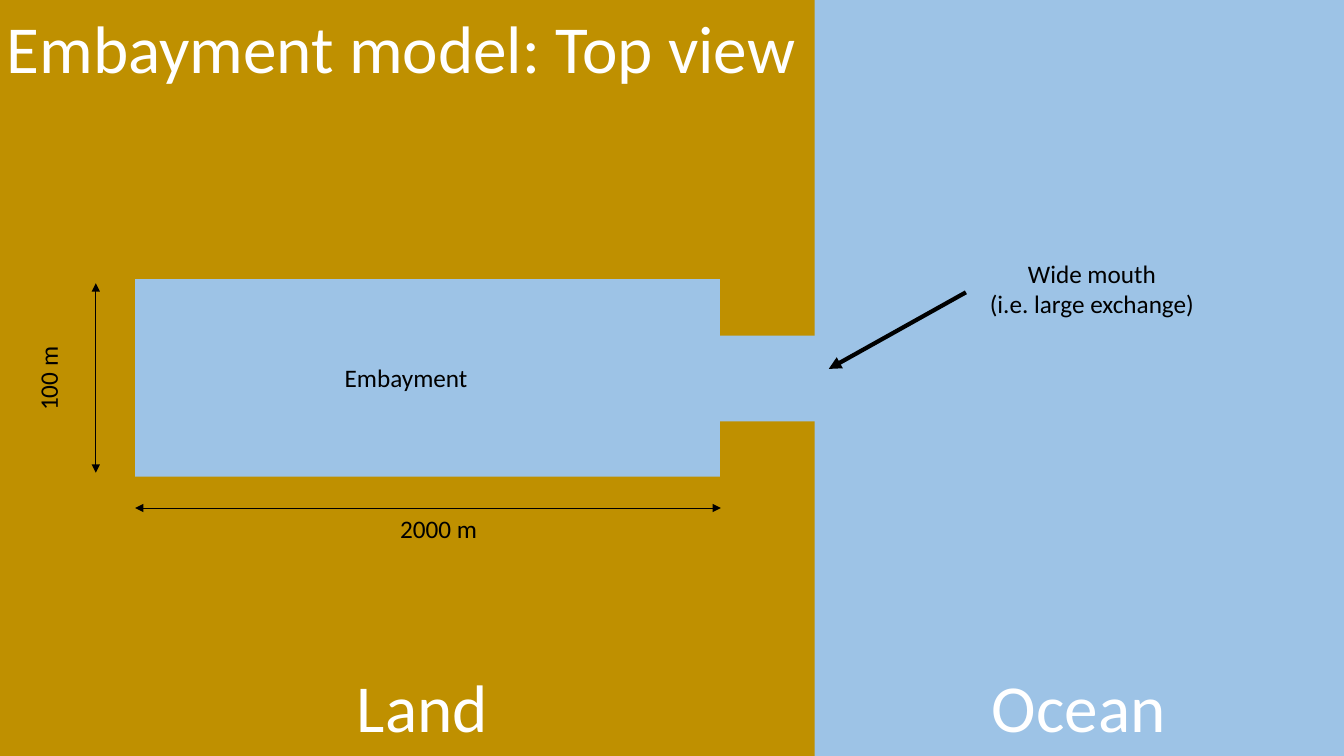
from lxml.etree import SubElement
from pptx import Presentation
from pptx.dml.color import RGBColor
from pptx.enum.shapes import MSO_CONNECTOR, MSO_SHAPE
from pptx.enum.text import MSO_AUTO_SIZE, PP_ALIGN
from pptx.oxml.ns import qn
from pptx.util import Inches, Pt

WATER = RGBColor(0x9D, 0xC3, 0xE6)
LAND = RGBColor(0xBF, 0x90, 0x00)
WHITE = RGBColor(0xFF, 0xFF, 0xFF)
BLACK = RGBColor(0x00, 0x00, 0x00)
FONT = "Calibri"
SLIDE_WIDTH, SLIDE_HEIGHT = 13.33, 7.5


def add_area(slide, left, top, width, height, color):
    area = slide.shapes.add_shape(
        MSO_SHAPE.RECTANGLE, Inches(left), Inches(top), Inches(width), Inches(height))
    area.shadow.inherit = False
    area.fill.solid()
    area.fill.fore_color.rgb = color
    area.line.fill.background()


def add_label(slide, lines, left, top, width, height, size=18, color=BLACK,
              align=PP_ALIGN.LEFT, wrap=False, rotation=0):
    label = slide.shapes.add_textbox(
        Inches(left), Inches(top), Inches(width), Inches(height))
    label.rotation = rotation
    frame = label.text_frame
    frame.word_wrap = wrap
    frame.auto_size = MSO_AUTO_SIZE.SHAPE_TO_FIT_TEXT
    for index, line in enumerate(lines):
        paragraph = frame.add_paragraph() if index else frame.paragraphs[0]
        paragraph.alignment = align
        run = paragraph.add_run()
        run.text = line
        run.font.name = FONT
        run.font.size = Pt(size)
        run.font.color.rgb = color


def add_arrow(slide, start, end, weight, both_ends=False):
    arrow = slide.shapes.add_connector(
        MSO_CONNECTOR.STRAIGHT, *(Inches(value) for value in (*start, *end)))
    arrow.line.color.rgb = BLACK
    arrow.line.width = Pt(weight)
    outline = arrow.line._get_or_add_ln()
    if both_ends:
        SubElement(outline, qn("a:headEnd"), type="triangle")
    SubElement(outline, qn("a:tailEnd"), type="triangle")
    SubElement(arrow._element.spPr, qn("a:effectLst"))


def main():
    deck = Presentation()
    deck.slide_width = Inches(SLIDE_WIDTH)
    deck.slide_height = Inches(SLIDE_HEIGHT)
    slide = deck.slides.add_slide(deck.slide_layouts[6])

    add_area(slide, 5.25, 0, 8.08, SLIDE_HEIGHT, WATER)
    add_area(slide, 0, 0, 8.08, SLIDE_HEIGHT, LAND)
    add_area(slide, 1.34, 2.77, 5.8, 1.96, WATER)
    add_label(slide, ["Land"], 3.44, 6.55, 1.51, 0.91, 48, WHITE)
    add_label(slide, ["Ocean"], 9.74, 6.55, 1.94, 0.91, 48, WHITE)

    add_arrow(slide, (1.34, 5.04), (7.15, 5.04), 0.5, both_ends=True)
    add_label(slide, ["2000 m"], 3.87, 5.04, 0.97, 0.4)
    add_label(slide, ["100 m"], 0.05, 3.55, 0.85, 0.4, rotation=270)
    add_arrow(slide, (0.95, 4.69), (0.95, 2.81), 0.5, both_ends=True)

    add_area(slide, 6.75, 3.33, 1.63, 0.85, WATER)
    add_arrow(slide, (9.58, 2.9), (8.22, 3.66), 3)
    add_label(slide, ["Wide mouth", "(i.e. large exchange)"], 9.58, 2.51, 2.5, 0.71,
              align=PP_ALIGN.CENTER, wrap=True)
    add_label(slide, ["Embayment"], 3.32, 3.55, 1.43, 0.4)
    add_label(slide, ["Embayment model: Top view"], -0.03, 0.01, 8.11, 0.91, 48, WHITE)

    deck.save("out.pptx")


if __name__ == "__main__":
    main()
